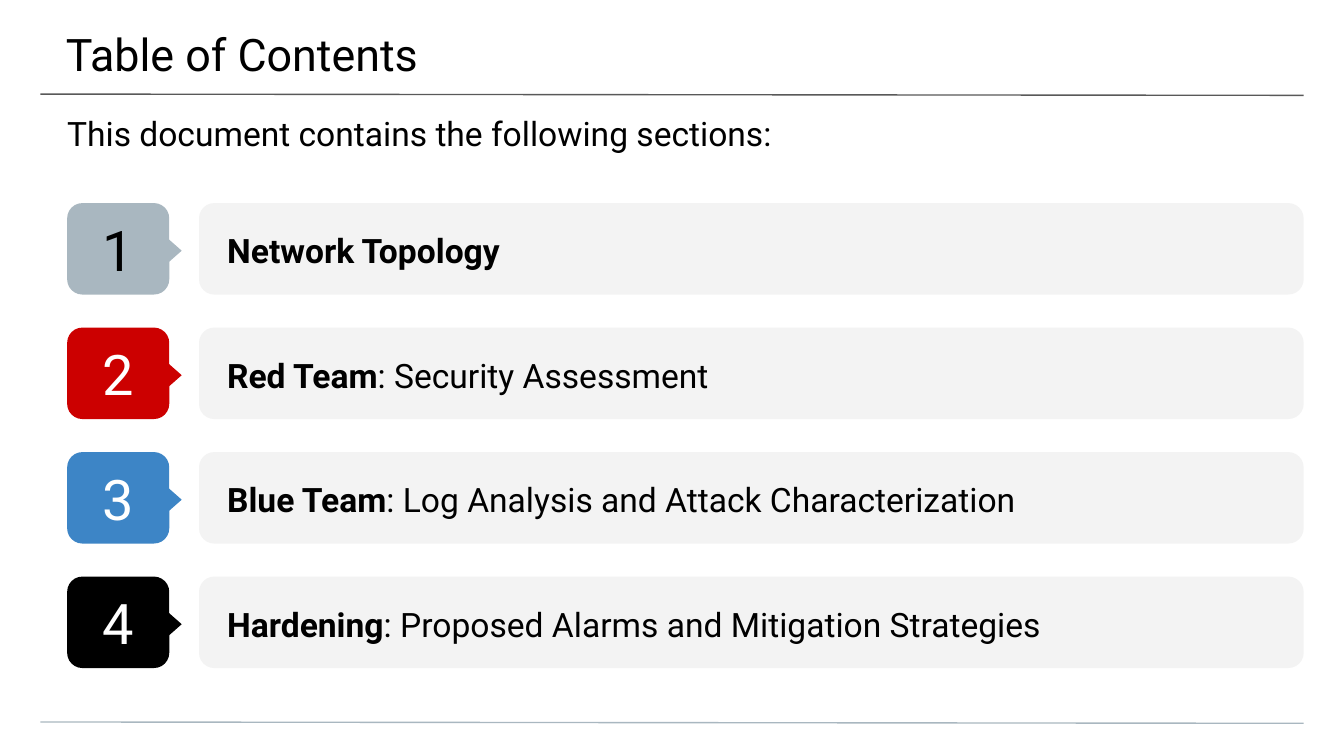
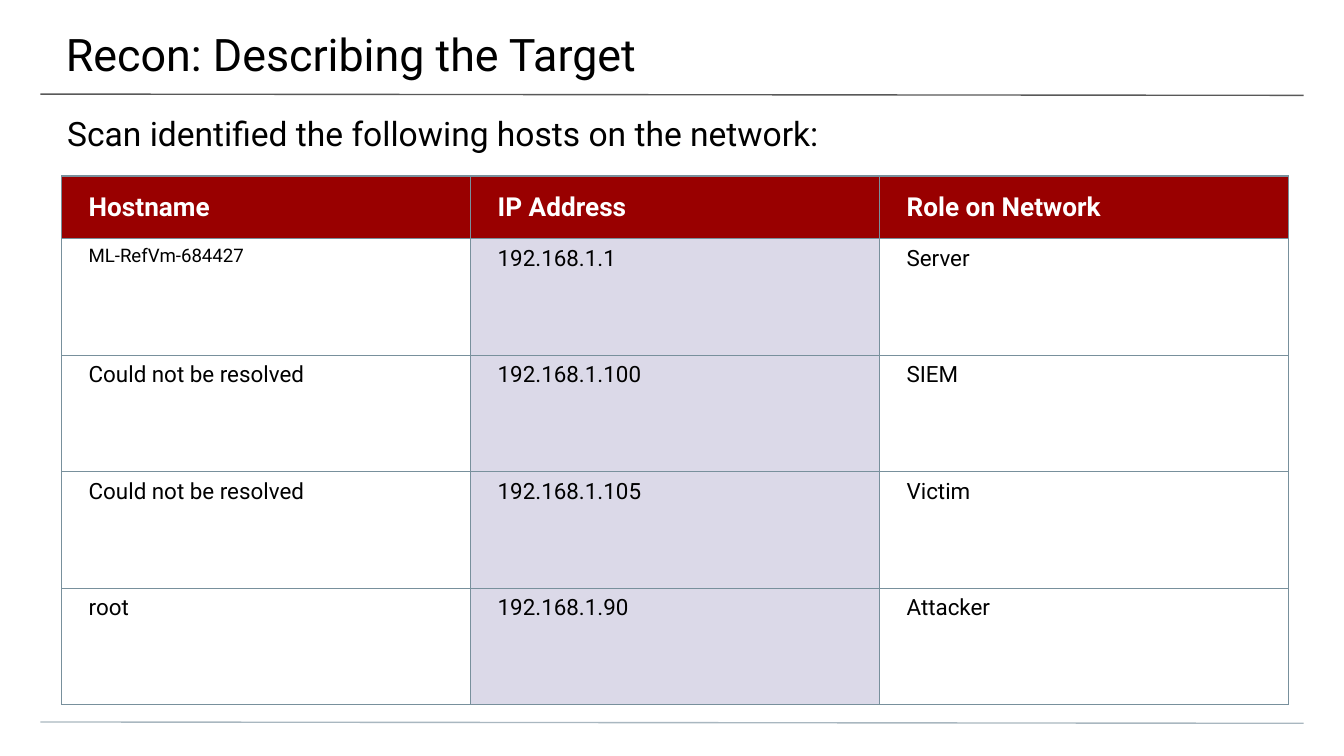
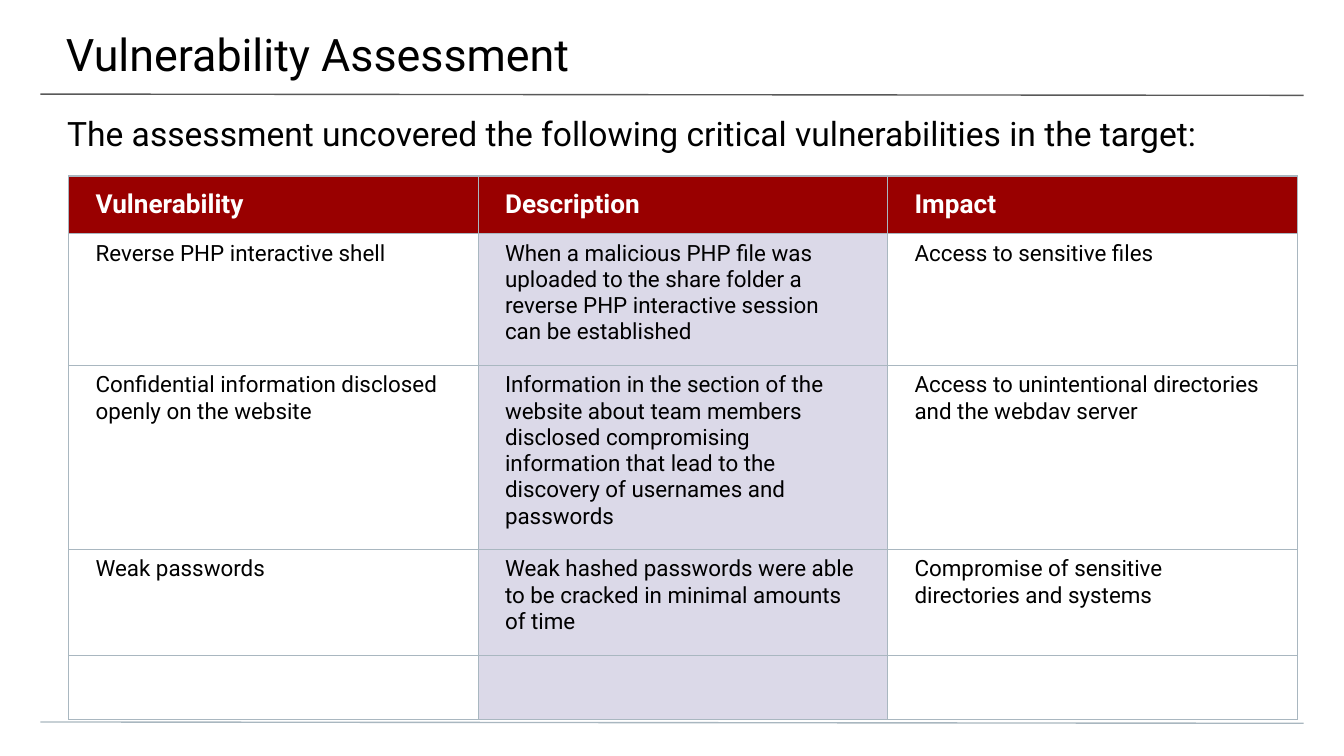
from pptx import Presentation
from pptx.dml.color import RGBColor
from pptx.enum.shapes import MSO_CONNECTOR, MSO_SHAPE
from pptx.enum.text import MSO_ANCHOR, PP_ALIGN
from pptx.oxml.ns import qn
from pptx.util import Pt
from lxml.etree import SubElement

COLORS = {
    "black": "000000", "white": "FFFFFF", "rule": "595959", "steel": "A9B7C0",
    "red": "CC0000", "blue": "3D85C6", "panel": "F3F3F3",
    "header": "990000", "lilac": "DBD9E8", "slate": "78909C",
}
FONT = "Roboto"
LINE_WIDTH = 0.74
WIDTH, HEIGHT = 720, 405


def color(name):
    return RGBColor.from_string(COLORS[name])


def apply(target, values):
    for attribute, value in values.items():
        setattr(target, attribute, value)


def margins(left, top, right, bottom):
    sides = ("left", "top", "right", "bottom")
    return {f"margin_{side}": Pt(size)
            for side, size in zip(sides, (left, top, right, bottom))}


class Deck:
    """Holds the shared style and the slide being built."""

    def __init__(self):
        self.presentation = Presentation()
        apply(self.presentation,
              {"slide_width": Pt(WIDTH), "slide_height": Pt(HEIGHT)})
        self.slide = None

    def new_slide(self, title, subtitle):
        self.slide = self.presentation.slides.add_slide(
            self.presentation.slide_layouts[6])
        self.rule(50.4, "rule")
        self.rule(386.8, "steel")
        self.text((-0.7, 0, 722, 42), [(title, False)], 24, (36, 14.4, 21.6, 7.2))
        self.text((0, 53.2, WIDTH, 28.8), [(subtitle, False)], 18, (36, 7.2, 36, 0))

    def rule(self, y, line_color):
        rule = self.slide.shapes.add_connector(
            MSO_CONNECTOR.STRAIGHT, Pt(21.6), Pt(y), Pt(698.4), Pt(y + 0.7))
        rule.line.color.rgb = color(line_color)
        rule.line.width = Pt(LINE_WIDTH)
        SubElement(rule._element.spPr, qn("a:effectLst"))

    def runs(self, paragraph, parts, size, text_color="black"):
        for words, bold in parts:
            run = paragraph.add_run()
            run.text = words
            apply(run.font, {"name": FONT, "size": Pt(size), "bold": bold})
            run.font.color.rgb = color(text_color)

    def text(self, box, parts, size, insets, anchor=MSO_ANCHOR.TOP, spacing=None):
        frame = self.slide.shapes.add_textbox(*map(Pt, box)).text_frame
        apply(frame, {"word_wrap": True, "vertical_anchor": anchor,
                      **margins(*insets)})
        frame.paragraphs[0].line_spacing = spacing
        self.runs(frame.paragraphs[0], parts, size)

    def shape(self, kind, box, fill, parent=None):
        shape = (parent or self.slide).shapes.add_shape(kind, *map(Pt, box))
        shape.shadow.inherit = False
        shape.fill.solid()
        shape.fill.fore_color.rgb = color(fill)
        shape.line.fill.background()
        return shape

    def badge(self, top, number, fill, text_color):
        group = self.slide.shapes.add_group_shape()
        badge = self.shape(MSO_SHAPE.ROUNDED_RECTANGLE, (36, top, 54.7, 49),
                           fill, group)
        apply(badge.text_frame, {"vertical_anchor": MSO_ANCHOR.MIDDLE,
                                 **margins(7.2, 7.2, 7.2, 7.2)})
        paragraph = badge.text_frame.paragraphs[0]
        paragraph.alignment = PP_ALIGN.CENTER
        self.runs(paragraph, [(number, False)], 30, text_color)
        pointer = self.shape(MSO_SHAPE.FLOWCHART_EXTRACT,
                             (76.5, top + 18, 26.6, 15.1), fill, group)
        pointer.rotation = 90

    def section(self, top, number, fill, text_color, lead, rest):
        self.shape(MSO_SHAPE.ROUNDED_RECTANGLE, (106.6, top, 591.8, 49), "panel")
        self.badge(top, number, fill, text_color)
        parts = [(lead, True)] + ([(rest, False)] if rest else [])
        self.text((-0.7, top, 722, 47.5), parts, 18, (122.4, 0, 36, 0),
                  MSO_ANCHOR.MIDDLE, 1.15)

    def borders(self, cell, line_color):
        properties = cell._tc.get_or_add_tcPr()
        for side in ("a:lnL", "a:lnR", "a:lnT", "a:lnB"):
            line = SubElement(properties, qn(side), w=str(Pt(LINE_WIDTH)))
            fill = SubElement(line, qn("a:solidFill"))
            SubElement(fill, qn("a:srgbClr"), val=COLORS[line_color])

    def table(self, left, column_width, heights, rows, line_color, sizes=None):
        """Sizes maps (row, column) to a text size other than the usual one."""
        columns = len(rows[0])
        table = self.slide.shapes.add_table(
            len(rows), columns, Pt(left), Pt(94.3),
            Pt(column_width * columns), Pt(sum(heights))).table
        apply(table, {"first_row": False, "horz_banding": False})
        for column in table.columns:
            column.width = Pt(column_width)
        for r, (height, row) in enumerate(zip(heights, rows)):
            table.rows[r].height = Pt(height)
            for c, words in enumerate(row):
                cell, head = table.cell(r, c), r == 0
                apply(cell, {
                    "vertical_anchor": MSO_ANCHOR.MIDDLE if head else MSO_ANCHOR.TOP,
                    **margins(14.4, 3.6, 14.4, 3.6)})
                self.borders(cell, line_color)
                if head or c == 1:
                    cell.fill.solid()
                    cell.fill.fore_color.rgb = color("header" if head else "lilac")
                else:
                    cell.fill.background()
                if words:
                    size = (sizes or {}).get((r, c), 14 if head else 12)
                    self.runs(cell.text_frame.paragraphs[0], [(words, head)],
                              size, "white" if head else "black")


deck = Deck()

# Contents
deck.new_slide("Table of Contents",
               "This document contains the following sections:")
sections = [
    ("steel", "black", "Network Topology", ""),
    ("red", "white", "Red Team", ": Security Assessment"),
    ("blue", "white", "Blue Team", ": Log Analysis and Attack Characterization"),
    ("black", "white", "Hardening", ": Proposed Alarms and Mitigation Strategies"),
]
for index, (fill, text_color, lead, rest) in enumerate(sections):
    deck.section(108.8 + 66.7 * index, str(index + 1), fill, text_color, lead, rest)

# Hosts
deck.new_slide("Recon: Describing the Target",
               "Scan identified the following hosts on the network:")
hosts = [
    ("Hostname", "IP Address", "Role on Network"),
    ("ML-RefVm-684427", "192.168.1.1", "Server"),
    ("Could not be resolved", "192.168.1.100", "SIEM"),
    ("Could not be resolved", "192.168.1.105", "Victim"),
    ("root", "192.168.1.90", "Attacker"),
]
deck.table(33.1, 219.1, [33.6] + [62.4] * 4, hosts, "slate", {(1, 0): 10})

# Vulnerabilities
deck.new_slide(
    "Vulnerability Assessment",
    "The assessment uncovered the following critical vulnerabilities in the target:")
vulnerabilities = [
    ("Vulnerability", "Description", "Impact"),
    ("Reverse PHP interactive shell",
     "When a malicious PHP file was uploaded to the share folder a reverse PHP "
     "interactive session can be established",
     "Access to sensitive files"),
    ("Confidential information disclosed openly on the website",
     "Information in the section of the website about team members disclosed "
     "compromising information that lead to the discovery of usernames and passwords",
     "Access to unintentional directories and the webdav server"),
    ("Weak passwords",
     "Weak hashed passwords were able to be cracked in minimal amounts of time",
     "Compromise of sensitive directories and systems"),
    ("", "", ""),
]
deck.table(36.8, 219.4, [30.8, 70.6, 98.6, 56.8, 34.6], vulnerabilities, "steel")

deck.presentation.save("out.pptx")
